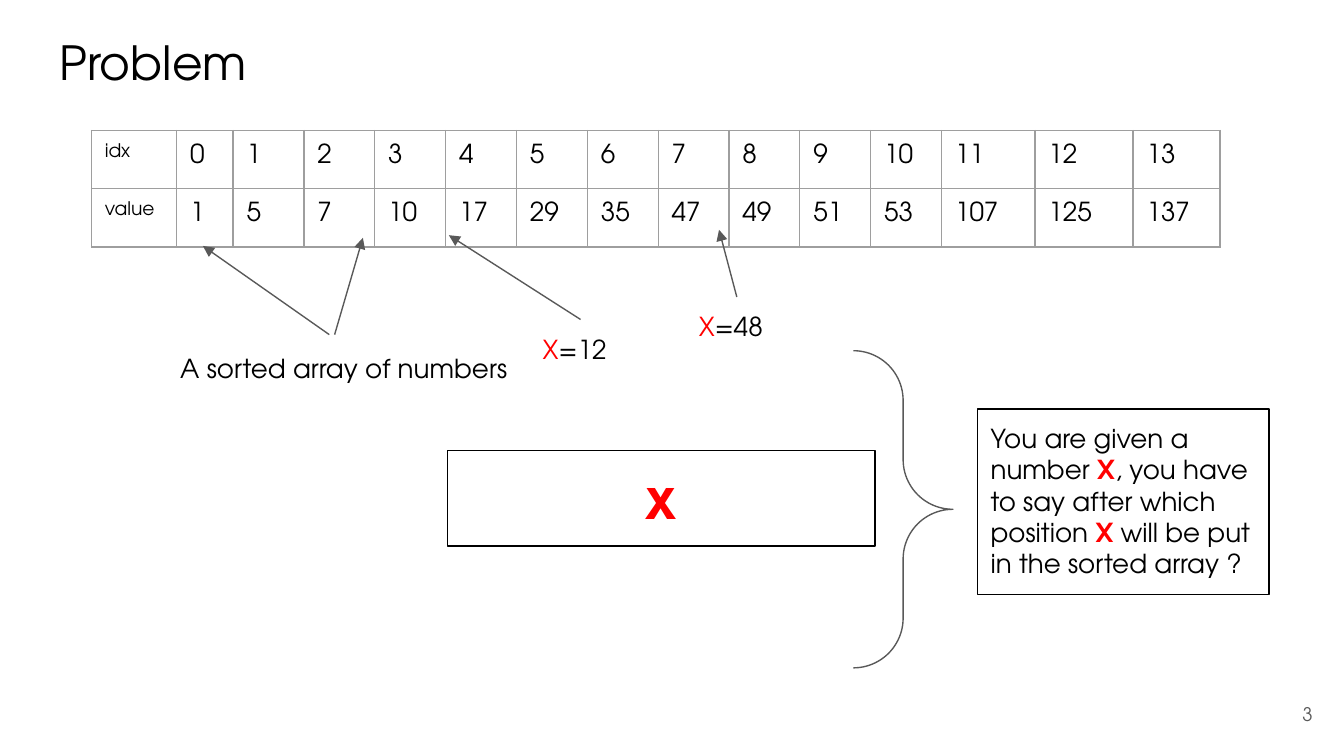
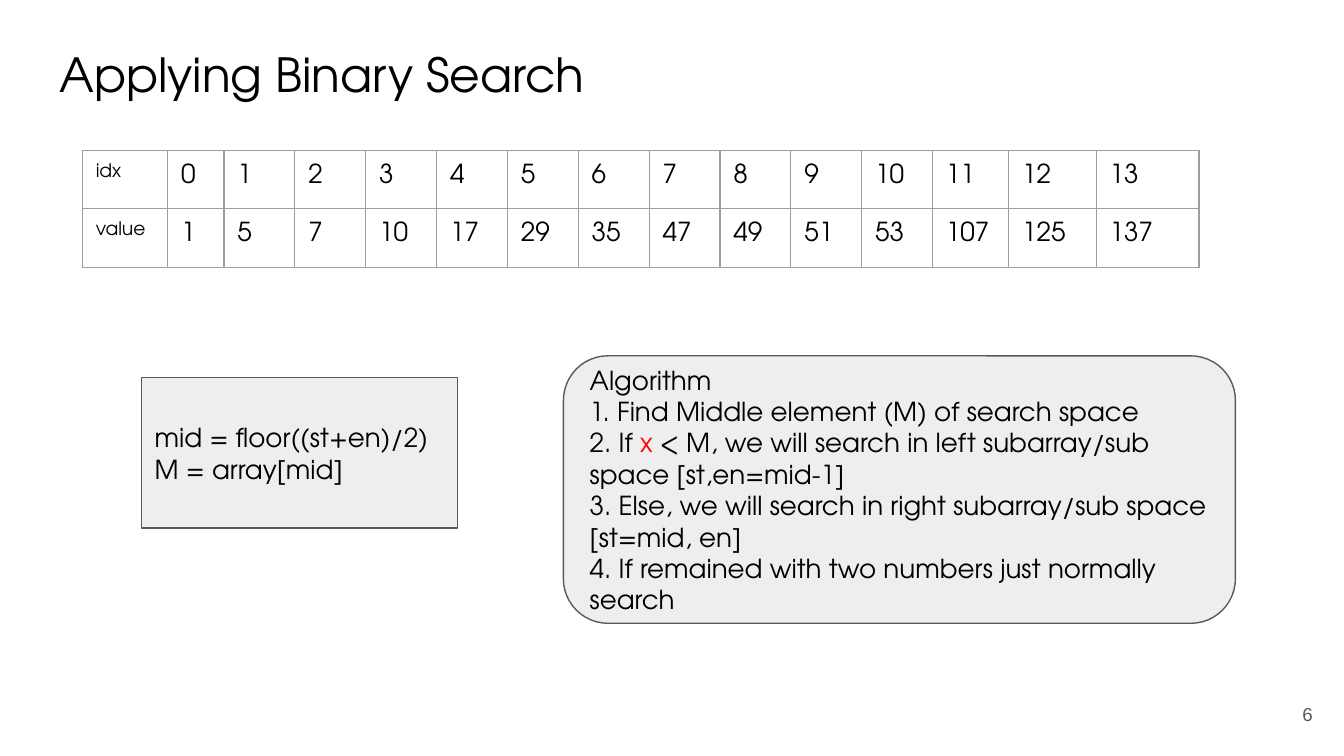
from lxml import etree
from pptx import Presentation
from pptx.dml.color import RGBColor
from pptx.enum.shapes import MSO_CONNECTOR, MSO_SHAPE
from pptx.enum.text import MSO_ANCHOR, PP_ALIGN
from pptx.oxml.ns import qn
from pptx.util import Pt

PX = 2286  # 400 px to the inch
SLIDE_WIDTH, SLIDE_HEIGHT = 4000, 2250
INSET = 40
LINE_WIDTH = Pt(0.75)
FONT, PLAIN_FONT = "TeX Gyre Adventor", "Arial"

BLACK = RGBColor(0x00, 0x00, 0x00)
RED = RGBColor(0xFF, 0x00, 0x00)
DARK_GREY = RGBColor(0x59, 0x59, 0x59)
GRID_GREY = RGBColor(0x9E, 0x9E, 0x9E)
LIGHT_GREY = RGBColor(0xEE, 0xEE, 0xEE)

LEFT, CENTER, RIGHT = PP_ALIGN.LEFT, PP_ALIGN.CENTER, PP_ALIGN.RIGHT
TOP, MIDDLE = MSO_ANCHOR.TOP, MSO_ANCHOR.MIDDLE
RECTANGLE, ROUNDED = MSO_SHAPE.RECTANGLE, MSO_SHAPE.ROUNDED_RECTANGLE
RIGHT_BRACE = MSO_SHAPE.RIGHT_BRACE
STRAIGHT = MSO_CONNECTOR.STRAIGHT
TOP_SITE = 0

# Content: a paragraph is a string or a list of runs; a tuple is (text, colour, bold)
VALUES = [1, 5, 7, 10, 17, 29, 35, 47, 49, 51, 53, 107, 125, 137]
ARRAY_ROWS = [["idx", *range(len(VALUES))], ["value", *VALUES]]
SHARED_COLUMNS = [254, 168] + [211] * 10
ROW_HEIGHT = 167
FRAME_SIDE = 1312

X_BOLD = ("X", RED, True)
QUESTION = [["You are given a number ", X_BOLD,
             ", you have to say after which position ", X_BOLD,
             " will be put in the sorted array ?"]]
ARRAY_LABEL = "A sorted array of numbers"
ARRAY_ARROWS = [((980, 996), (604, 732)), ((996, 996), (1080, 708))]
# (value of X, label left, label top, arrow tip)
GUESSES = [("=12", 1576, 951, (1336, 700)), ("=48", 2041, 884, (2140, 684))]
GUESS_SIZE = (304, 176)

ALGORITHM = [
    "Algorithm",
    "1. Find Middle element (M) of search space",
    ["2. If ", ("x", RED, False),
     " < M, we will search in left subarray/sub space [st,en=mid-1]"],
    "3. Else, we will search in right subarray/sub space [st=mid, en]",
    "4. If remained with two numbers just normally search",
]
MIDPOINT = ["mid = floor((st+en)/2)", "M = array[mid]"]


def px(*lengths):
    return [length * PX for length in lengths]


def set_margins(holder):
    holder.margin_left = holder.margin_right = INSET * PX
    holder.margin_top = holder.margin_bottom = INSET * PX


def write_text(frame, paragraphs, size=14, color=BLACK, bold=False, font=FONT,
               align=LEFT):
    for index, runs in enumerate(paragraphs):
        paragraph = frame.add_paragraph() if index else frame.paragraphs[0]
        paragraph.alignment = align
        for part in [runs] if isinstance(runs, str) else runs:
            text, run_color, run_bold = (part, color, bold) if isinstance(part, str) else part
            run = paragraph.add_run()
            run.text = text
            run.font.name = font
            run.font.size = Pt(size)
            run.font.bold = run_bold
            run.font.color.rgb = run_color


def fill_frame(shape, paragraphs, anchor=TOP, **text_format):
    frame = shape.text_frame
    frame.word_wrap = True
    frame.vertical_anchor = anchor
    set_margins(frame)
    write_text(frame, paragraphs, **text_format)


def add_text(slide, box, paragraphs, **text_format):
    shape = slide.shapes.add_textbox(*px(*box))
    fill_frame(shape, paragraphs, **text_format)
    return shape


def add_box(slide, kind, box, paragraphs=(), fill=None, line=BLACK, **text_format):
    shape = slide.shapes.add_shape(kind, *px(*box))
    shape.shadow.inherit = False
    if fill is None:
        shape.fill.background()
    else:
        shape.fill.solid()
        shape.fill.fore_color.rgb = fill
    shape.line.color.rgb = line
    shape.line.width = LINE_WIDTH
    fill_frame(shape, paragraphs, **text_format)
    return shape


def add_arrow(slide, start, end, source=None):
    arrow = slide.shapes.add_connector(STRAIGHT, *px(*start, *end))
    if source is not None:
        arrow.begin_connect(source, TOP_SITE)
    arrow.line.color.rgb = DARK_GREY
    arrow.line.width = LINE_WIDTH
    properties = arrow.line._get_or_add_ln()
    etree.SubElement(properties, qn("a:tailEnd"), type="triangle")
    etree.SubElement(arrow._element.spPr, qn("a:effectLst"))


def set_borders(cell):
    properties = cell._tc.get_or_add_tcPr()
    for side in ("lnL", "lnR", "lnT", "lnB"):
        line = etree.SubElement(properties, qn("a:" + side), w=str(int(LINE_WIDTH)))
        fill = etree.SubElement(line, qn("a:solidFill"))
        etree.SubElement(fill, qn("a:srgbClr"), val=str(GRID_GREY))


def add_array_table(slide, left, top, last_columns):
    columns = SHARED_COLUMNS + last_columns
    frame = slide.shapes.add_table(
        len(ARRAY_ROWS), len(columns), *px(left, top, FRAME_SIDE, FRAME_SIDE))
    table = frame.table
    table.first_row = table.horz_banding = False
    for column, width in zip(table.columns, columns):
        column.width = width * PX
    for row, values in zip(table.rows, ARRAY_ROWS):
        row.height = ROW_HEIGHT * PX
        for index, (cell, value) in enumerate(zip(row.cells, values)):
            write_text(cell.text_frame, [str(value)], size=14 if index else 10)
            set_margins(cell)
            set_borders(cell)
            cell.fill.background()
    # Resizing rows and columns changes the frame, so its size is set last
    frame.width = frame.height = FRAME_SIDE * PX


def add_slide(presentation, title, title_top, number, number_font):
    slide = presentation.slides.add_slide(presentation.slide_layouts[6])
    add_text(slide, (137, title_top, 3728, 252), [title], size=25.2)
    add_text(slide, (3706, 2040, 240, 172), [number], size=10, color=DARK_GREY,
             font=number_font, align=RIGHT, anchor=MIDDLE)
    return slide


def build_problem(presentation):
    slide = add_slide(presentation, "Problem", 61, "3", FONT)
    add_array_table(slide, 272, 388, [278, 292, 259])

    # Sorted array label
    add_text(slide, (497, 1008, 1176, 176), [ARRAY_LABEL])
    for start, end in ARRAY_ARROWS:
        add_arrow(slide, start, end)

    # Number X and the question
    add_box(slide, RECTANGLE, (1332, 1341, 1272, 284), ["x"], size=30, color=RED,
            bold=True, align=CENTER)
    add_box(slide, RECTANGLE, (2909, 1217, 868, 552), QUESTION)
    brace = add_box(slide, RIGHT_BRACE, (2540, 1044, 296, 944), line=DARK_GREY)
    brace.adjustments[0] = brace.adjustments[1] = 0.5

    # Example values of X
    width, height = GUESS_SIZE
    for value, left, top, tip in GUESSES:
        label = add_text(slide, (left, top, width, height), [[("X", RED, False), value]])
        add_arrow(slide, (left + width // 2, top), tip, source=label)


def build_binary_search(presentation):
    slide = add_slide(presentation, "Applying Binary Search", 96, "6", PLAIN_FONT)
    add_array_table(slide, 245, 448, [227, 260, 306])
    for kind, box, paragraphs in [(ROUNDED, (1677, 1059, 2000, 796), ALGORITHM),
                                  (RECTANGLE, (421, 1124, 940, 448), MIDPOINT)]:
        add_box(slide, kind, box, paragraphs, fill=LIGHT_GREY, line=DARK_GREY,
                anchor=MIDDLE)


def main():
    presentation = Presentation()
    presentation.slide_width, presentation.slide_height = px(SLIDE_WIDTH, SLIDE_HEIGHT)
    build_problem(presentation)
    build_binary_search(presentation)
    presentation.save("out.pptx")


if __name__ == "__main__":
    main()
